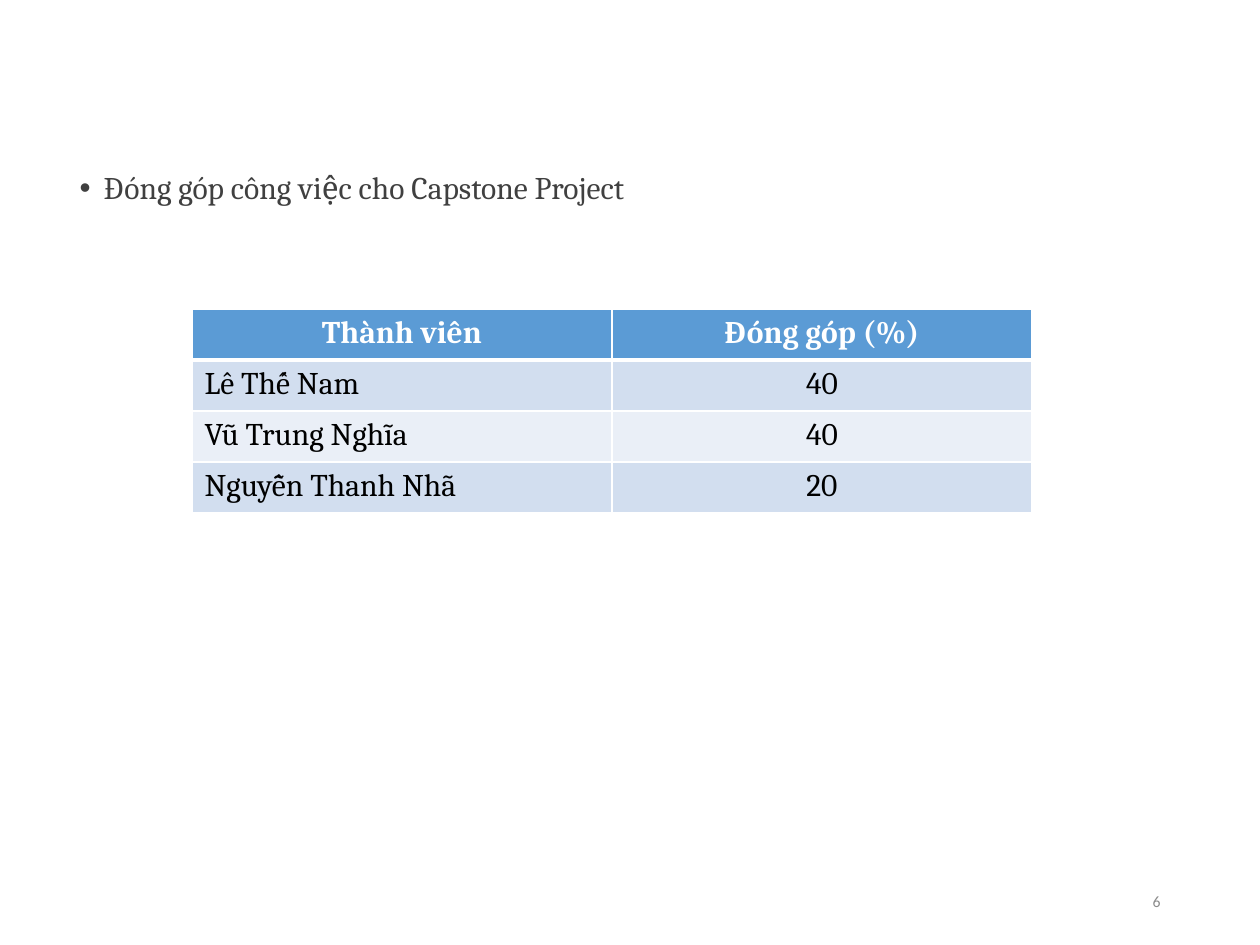
import pptx
import pptx.dml.color
import pptx.enum.text
import pptx.oxml
import pptx.oxml.ns
import pptx.util
from lxml import etree

PX = 914400 / 126
ALIGN = pptx.enum.text.PP_ALIGN
CONTRIBUTIONS = [
    ("Thành viên", "Đóng góp (%)"),
    ("Lê Thế Nam", "40"),
    ("Vũ Trung Nghĩa", "40"),
    ("Nguyễn Thanh Nhã", "20"),
]


def px(length):
    return pptx.util.Emu(round(length * PX))


def color(hex_value):
    return pptx.dml.color.RGBColor.from_string(hex_value)


def write(frame, text, size, font_name, hex_value, align=ALIGN.LEFT, bold=False):
    """Put one formatted paragraph in the frame and return it."""
    paragraph = frame.paragraphs[0]
    paragraph.text = text
    paragraph.alignment = align
    font = paragraph.font
    font.size = pptx.util.Pt(size)
    font.name = font_name
    font.bold = bold
    font.color.rgb = color(hex_value)
    return paragraph


def place(shape, left, top, width, height):
    shape.left, shape.top, shape.width, shape.height = map(px, (left, top, width, height))


def add_bullet(paragraph, indent):
    properties = paragraph._p.get_or_add_pPr()
    properties.set("marL", str(px(indent)))
    properties.set("indent", str(-px(indent)))
    bullet_font = etree.SubElement(properties, pptx.oxml.ns.qn("a:buFont"))
    bullet_font.set("typeface", "Arial")
    etree.SubElement(properties, pptx.oxml.ns.qn("a:buChar")).set("char", "•")


def set_borders(cell, top, bottom):
    """Draw white borders; top and bottom are widths in points."""
    properties = cell._tc.get_or_add_tcPr()
    for side, width in (("L", 1), ("R", 1), ("T", top), ("B", bottom)):
        properties.append(pptx.oxml.parse_xml(
            f'<a:ln{side} {pptx.oxml.ns.nsdecls("a")} w="{pptx.util.Pt(width)}">'
            '<a:solidFill><a:srgbClr val="FFFFFF"/></a:solidFill>'
            f'</a:ln{side}>'))


def add_contribution_table(slide):
    table = slide.shapes.add_table(
        len(CONTRIBUTIONS), 2, px(192), px(309), px(840), px(204)).table
    for row, values in enumerate(CONTRIBUTIONS):
        header = row == 0
        fill = "5B9BD5" if header else ("EAEFF7", "D2DEEF")[row % 2]
        for column, value in enumerate(values):
            cell = table.cell(row, column)
            set_borders(cell, 3 if row == 1 else 1, 3 if header else 1)
            cell.fill.solid()
            cell.fill.fore_color.rgb = color(fill)
            centred = header or column == 1
            write(cell.text_frame, value, 18, "Cambria",
                  "FFFFFF" if header else "000000",
                  ALIGN.CENTER if centred else ALIGN.LEFT, header)


def add_body(slide):
    body = slide.placeholders[1]
    place(body, 67, 166, 1106, 694)
    topic = write(body.text_frame, "Đóng góp công việc cho Capstone Project",
                  18, "Cambria", "404040")
    topic.line_spacing = 0.9
    topic.space_before = pptx.util.Pt(7.5)
    add_bullet(topic, 24)


def add_page_number(slide):
    box = slide.shapes.add_textbox(px(890), px(876), px(283), px(50))
    box.text_frame.word_wrap = True
    box.text_frame.vertical_anchor = pptx.enum.text.MSO_ANCHOR.MIDDLE
    write(box.text_frame, "6", 9, "Calibri", "8C8C8C", ALIGN.RIGHT)


def main():
    deck = pptx.Presentation()
    deck.slide_width, deck.slide_height = px(1260), px(945)
    slide = deck.slides.add_slide(deck.slide_layouts[1])
    title = slide.shapes.title.element
    title.getparent().remove(title)
    add_body(slide)
    add_page_number(slide)
    add_contribution_table(slide)
    deck.save("out.pptx")


if __name__ == "__main__":
    main()
